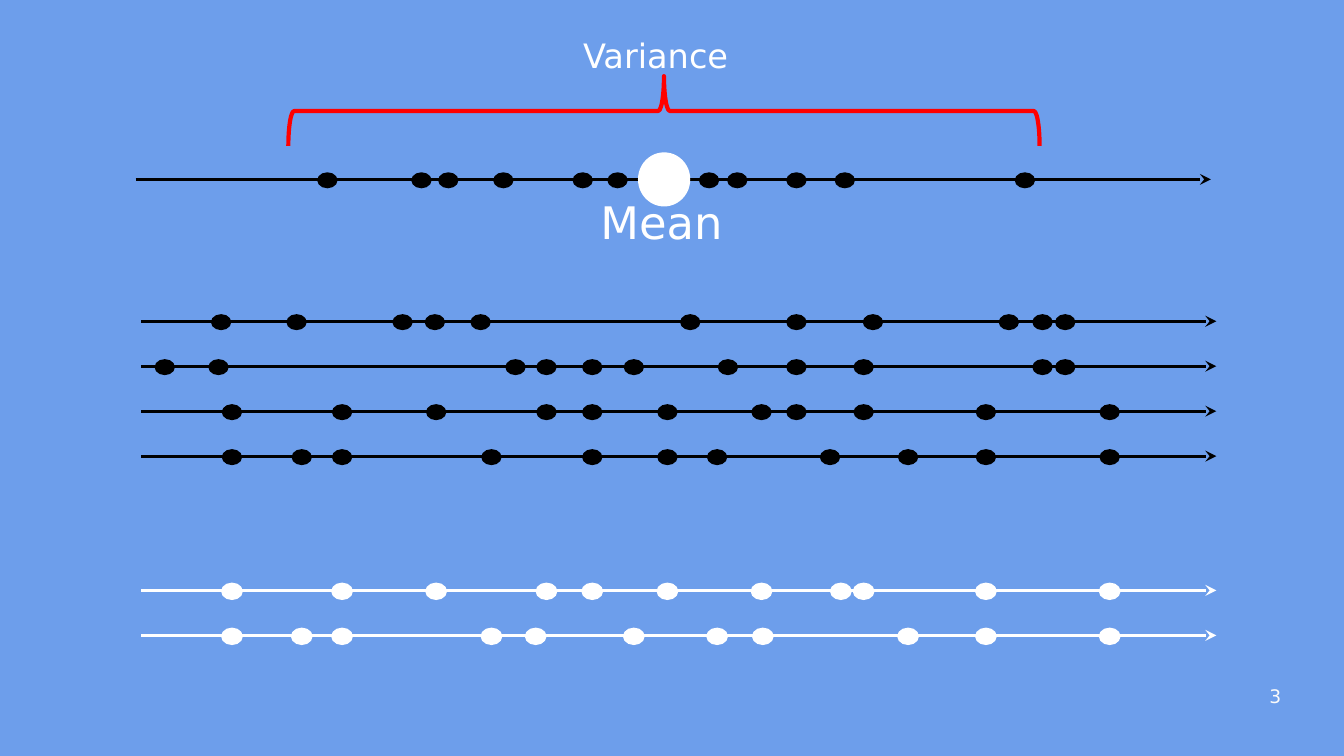
from dataclasses import dataclass

import pptx
import pptx.dml.color
import pptx.enum.shapes
import pptx.enum.text
import pptx.oxml.ns
import pptx.slide
import pptx.util
from lxml import etree

Pt = pptx.util.Pt
RGBColor = pptx.dml.color.RGBColor
Shape = pptx.enum.shapes.MSO_SHAPE
Align = pptx.enum.text.PP_ALIGN
Anchor = pptx.enum.text.MSO_ANCHOR

BLUE = RGBColor(0x6D, 0x9E, 0xEB)
BLACK = RGBColor(0x00, 0x00, 0x00)
WHITE = RGBColor(0xFF, 0xFF, 0xFF)
OFF_WHITE = RGBColor(0xFA, 0xFA, 0xFA)
RED = RGBColor(0xFF, 0x00, 0x00)

FONT = "DejaVu Sans"
AXIS_LENGTH = 576
AXIS_LEFT = 75.6
ROW_STEP = 24.1
BLACK_TOP = 172.1
WHITE_TOP = 316.3
DOT_WIDTH, DOT_HEIGHT = 10.9, 8.6
DOT_RISE = 3.8


@dataclass(frozen=True)
class Sample:
    """One number line; dots holds the left edge of each observation."""
    left: float
    y: float
    color: RGBColor
    dots: tuple[float, ...]
    outlined: bool = False


@dataclass(frozen=True)
class Label:
    text: str
    left: float
    top: float
    width: float
    height: float
    size: float
    color: RGBColor = WHITE
    align: Align = Align.LEFT
    anchor: Anchor = Anchor.TOP


MEAN_SAMPLE = Sample(72.7, 96.1, BLACK, (
    169.9, 220.3, 234.7, 264.2, 306.7, 325.4, 374.4, 389.5, 421.2, 447.1, 543.6))
BLACK_ROWS = (
    (113, 153.4, 210.2, 227.5, 252, 364.3, 421.2, 462.2, 535, 553, 565.2),
    (82.8, 111.6, 270.7, 287.3, 311.8, 334.1, 384.5, 421.2, 457.2, 553, 565.2),
    (118.8, 177.8, 228.2, 287.3, 311.8, 352.1, 402.5, 421.2, 457.2, 522.7, 589),
    (118.8, 156.2, 177.8, 257.8, 311.8, 352.1, 378.7, 439.2, 481, 522.7, 589),
)
WHITE_ROWS = (
    (118.8, 177.8, 228.2, 287.3, 311.8, 352.1, 402.5, 445, 457.2, 522.7, 589),
    (118.8, 156.2, 177.8, 257.8, 281.5, 334.1, 378.7, 403.2, 481, 522.7, 589),
)
SAMPLES = (
    MEAN_SAMPLE,
    *(Sample(AXIS_LEFT, BLACK_TOP + i * ROW_STEP, BLACK, dots)
      for i, dots in enumerate(BLACK_ROWS)),
    *(Sample(AXIS_LEFT, WHITE_TOP + i * ROW_STEP, WHITE, dots, outlined=True)
      for i, dots in enumerate(WHITE_ROWS)),
)
LABELS = (
    Label("Variance", 305.3, 15.1, 101.5, 18, 18),
    Label("Mean", 314.6, 100.8, 86.4, 32.4, 24),
    Label("3", 657.4, 360.7, 36, 21.6, 10, OFF_WHITE, Align.RIGHT, Anchor.BOTTOM),
)


def draw_axis(page: pptx.slide.Slide, sample: Sample) -> None:
    axis = page.shapes.add_connector(
        pptx.enum.shapes.MSO_CONNECTOR.STRAIGHT, Pt(sample.left), Pt(sample.y),
        Pt(sample.left + AXIS_LENGTH), Pt(sample.y))
    axis.line.color.rgb = sample.color
    axis.line.width = Pt(1.5)
    qn = pptx.oxml.ns.qn
    etree.SubElement(axis.line._get_or_add_ln(), qn("a:tailEnd"), type="stealth")
    etree.SubElement(axis._element.spPr, qn("a:effectLst"))


def draw_ellipse(page: pptx.slide.Slide, left: float, top: float, width: float,
                 height: float, color: RGBColor, outlined: bool = False) -> None:
    ellipse = page.shapes.add_shape(
        Shape.OVAL, Pt(left), Pt(top), Pt(width), Pt(height))
    ellipse.shadow.inherit = False
    ellipse.fill.solid()
    ellipse.fill.fore_color.rgb = color
    if outlined:
        ellipse.line.color.rgb = color
        ellipse.line.width = Pt(0.75)
    else:
        ellipse.line.fill.background()


def draw_sample(page: pptx.slide.Slide, sample: Sample) -> None:
    draw_axis(page, sample)
    for left in sample.dots:
        draw_ellipse(page, left, sample.y - DOT_RISE, DOT_WIDTH, DOT_HEIGHT,
                     sample.color, sample.outlined)


def draw_variance_brace(page: pptx.slide.Slide) -> None:
    brace = page.shapes.add_shape(
        Shape.RIGHT_BRACE, Pt(337), Pt(-141.8), Pt(37.4), Pt(402.5))
    brace.rotation = 270
    brace.adjustments[0] = 0.083
    brace.adjustments[1] = 0.5
    brace.shadow.inherit = False
    brace.fill.background()
    brace.line.color.rgb = RED
    brace.line.width = Pt(2.25)


def draw_label(page: pptx.slide.Slide, label: Label) -> None:
    box = page.shapes.add_textbox(
        Pt(label.left), Pt(label.top), Pt(label.width), Pt(label.height))
    frame = box.text_frame
    frame.word_wrap = True
    frame.vertical_anchor = label.anchor
    frame.margin_left = frame.margin_right = Pt(7.2)
    frame.margin_top = frame.margin_bottom = Pt(3.6)
    para = frame.paragraphs[0]
    para.alignment = label.align
    span = para.add_run()
    span.text = label.text
    span.font.name = FONT
    span.font.size = Pt(label.size)
    span.font.color.rgb = label.color


def main() -> None:
    deck = pptx.Presentation()
    deck.slide_width, deck.slide_height = Pt(720), Pt(405)
    page = deck.slides.add_slide(deck.slide_layouts[6])
    page.background.fill.solid()
    page.background.fill.fore_color.rgb = BLUE
    for sample in SAMPLES:
        draw_sample(page, sample)
    draw_variance_brace(page)
    draw_ellipse(page, 341.8, 81.6, 28, 29, WHITE)
    for label in LABELS:
        draw_label(page, label)
    deck.save("out.pptx")


if __name__ == "__main__":
    main()
